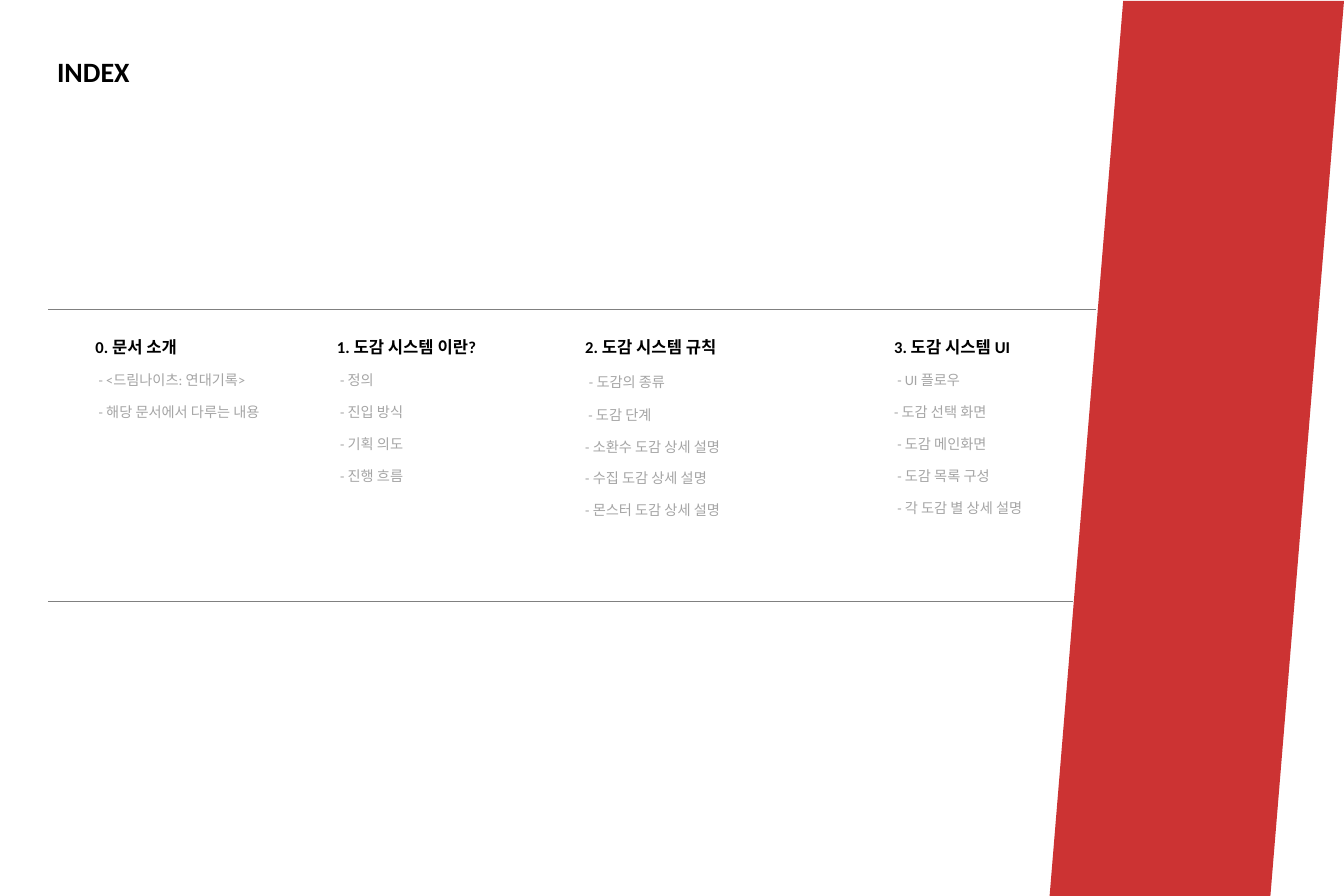
from dataclasses import dataclass

from lxml.etree import SubElement
from pptx import Presentation
from pptx.dml.color import RGBColor
from pptx.enum.shapes import MSO_CONNECTOR, MSO_SHAPE
from pptx.enum.text import MSO_ANCHOR
from pptx.oxml.ns import qn
from pptx.util import Pt


@dataclass(frozen=True)
class Theme:
    font: str = "Calibri"
    ink: str = "000000"
    muted: str = "A5A5A5"
    rule: str = "808080"
    accent: str = "C00000"
    accent_opacity: int = 80
    title_size: float = 23.6
    heading_size: float = 14
    item_size: float = 12
    line_spacing: float = 0.9
    item_gap: float = 14


THEME = Theme()
SECTION_TOP = 282.24

# Left, width, height, heading, size of the first item's lead space, items
SECTIONS = [
    (277.2, 149, 163.4, "1. 도감 시스템 이란?", THEME.item_size,
     [" - 정의", " - 진입 방식", " - 기획 의도", " - 진행 흐름"]),
    (486.72, 182.9, 190.8, "2. 도감 시스템 규칙", THEME.heading_size,
     [" - 도감의 종류", " - 도감 단계", "- 소환수 도감 상세 설명",
      "- 수집 도감 상세 설명", "- 몬스터 도감 상세 설명"]),
    (747.36, 182.9, 190.8, "3. 도감 시스템 UI", THEME.item_size,
     [" - UI 플로우", "- 도감 선택 화면", " - 도감 메인화면",
      " - 도감 목록 구성", " - 각 도감 별 상세 설명"]),
    (73.44, 177.1, 163.4, "0. 문서 소개", THEME.item_size,
     [" - <드림나이츠: 연대기록>", " - 해당 문서에서 다루는 내용"]),
]


def add_run(paragraph, text, *, size, color=THEME.ink, bold=False):
    run = paragraph.add_run()
    run.text = text
    run.font.name = THEME.font
    run.font.size = Pt(size)
    run.font.bold = bold
    run.font.color.rgb = RGBColor.from_string(color)


def add_frame(slide, left, top, width, height, anchor=MSO_ANCHOR.TOP):
    frame = slide.shapes.add_textbox(
        Pt(left), Pt(top), Pt(width), Pt(height)).text_frame
    frame.word_wrap = True
    frame.vertical_anchor = anchor
    frame.paragraphs[0].line_spacing = THEME.line_spacing
    return frame


def add_section(slide, left, width, height, heading, lead_size, items):
    frame = add_frame(slide, left, SECTION_TOP, width, height)
    heading_line = frame.paragraphs[0]
    heading_line.space_before = Pt(THEME.item_gap)
    add_run(heading_line, heading, size=THEME.heading_size, bold=True)
    for index, item in enumerate(items):
        entry = frame.add_paragraph()
        entry.line_spacing = THEME.line_spacing
        entry.space_before = Pt(THEME.item_gap)
        if index == 0:
            add_run(entry, " ", size=lead_size)
            item = item.lstrip()
        add_run(entry, item, size=THEME.item_size, color=THEME.muted)


def add_rule(slide, left, right, y):
    rule = slide.shapes.add_connector(
        MSO_CONNECTOR.STRAIGHT, Pt(left), Pt(y), Pt(right), Pt(y))
    rule.line.color.rgb = RGBColor.from_string(THEME.rule)
    rule.line.width = Pt(0.5)
    SubElement(rule.element.spPr, qn("a:effectLst"))


def add_slanted_band(slide, left, top, width, height):
    band = slide.shapes.add_shape(
        MSO_SHAPE.PARALLELOGRAM, Pt(left), Pt(top), Pt(width), Pt(height))
    band.shadow.inherit = False
    band.line.fill.background()
    band.fill.solid()
    band.fill.fore_color.rgb = RGBColor.from_string(THEME.accent)
    color = band.element.spPr.find(qn("a:solidFill"))[0]
    SubElement(color, qn("a:alpha"), val=str(THEME.accent_opacity * 1000))


def main():
    deck = Presentation()
    deck.slide_width, deck.slide_height = Pt(1134), Pt(756)
    slide = deck.slides.add_slide(deck.slide_layouts[6])

    # Index sections
    for section in SECTIONS:
        add_section(slide, *section)

    # Rules above and below the sections
    add_rule(slide, 40.32, 924.48, 261.36)
    add_rule(slide, 40.32, 905.76, 507.6)

    # Title
    title = add_frame(slide, 41.04, 41.76, 977.8, 40.3, MSO_ANCHOR.MIDDLE)
    add_run(title.paragraphs[0], "INDEX", size=THEME.title_size, bold=True)

    # Slanted band on the right
    add_slanted_band(slide, 885.6, 0.72, 248.4, 755.28)

    deck.save("out.pptx")


main()
